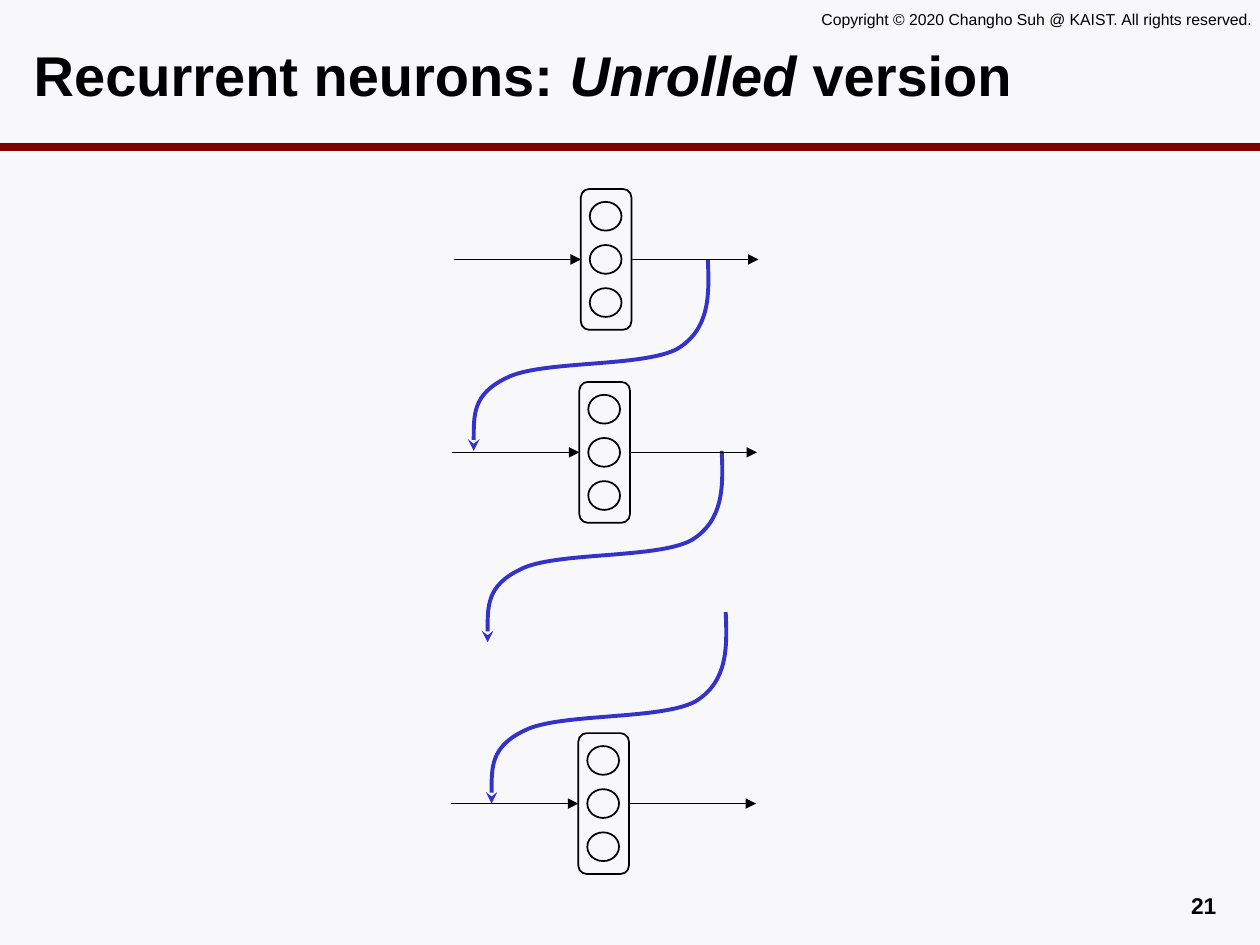
from dataclasses import dataclass

from lxml.etree import SubElement
from pptx import Presentation
from pptx.dml.color import RGBColor
from pptx.enum.shapes import MSO_CONNECTOR, MSO_SHAPE
from pptx.enum.text import MSO_ANCHOR, PP_ALIGN
from pptx.oxml.ns import qn
from pptx.util import Cm, Pt


@dataclass(frozen=True)
class Theme:
    font: str = "Arial"
    background: str = "F8F8FA"
    ink: str = "000000"
    rule: str = "800000"
    feedback: str = "3333CC"
    title_size: float = 32
    number_size: float = 13
    copyright_size: float = 9
    thin: float = 0.75
    outline: float = 1
    feedback_width: float = 2.25
    rule_width: float = 4.5


class SlideBuilder:
    BOX_W, BOX_H = 1.02, 2.84
    NEURON_W, NEURON_H, NEURON_PITCH = 0.64, 0.58, 0.87
    ARROW = 2.56
    # Offsets from the start: three cubic segments of three points each
    FEEDBACK = [
        (0.03, 0.69), (0.05, 1.4), (-0.61, 1.8),
        (-1.3, 2.18), (-3.38, 2.03), (-4.06, 2.39),
        (-4.75, 2.72), (-4.72, 3.28), (-4.72, 3.86),
    ]

    def __init__(self, s, theme):
        self.s, self.theme = s, theme
        fill = s.background.fill
        fill.solid()
        fill.fore_color.rgb = RGBColor.from_string(theme.background)

    def stroke(self, sp, color, width, arrow=None):
        sp.line.color.rgb = RGBColor.from_string(color)
        sp.line.width = Pt(width)
        if arrow:
            SubElement(sp.line._get_or_add_ln(), qn("a:tailEnd"), type=arrow)

    def text(self, runs, left, top, width, height, size, bold=False,
             align=PP_ALIGN.LEFT, anchor=MSO_ANCHOR.TOP, wrap=True):
        """Add one paragraph from (text, italic) runs."""
        sp = self.s.shapes.add_textbox(Cm(left), Cm(top), Cm(width), Cm(height))
        tf = sp.text_frame
        tf.word_wrap = wrap
        tf.vertical_anchor = anchor
        p = tf.paragraphs[0]
        p.alignment = align
        for words, italic in runs:
            r = p.add_run()
            r.text = words
            r.font.name = self.theme.font
            r.font.size = Pt(size)
            r.font.bold = bold
            r.font.italic = italic
            r.font.color.rgb = RGBColor.from_string(self.theme.ink)

    def line(self, x1, y1, x2, y2, color, width, arrow=None):
        sp = self.s.shapes.add_connector(
            MSO_CONNECTOR.STRAIGHT, Cm(x1), Cm(y1), Cm(x2), Cm(y2))
        self.stroke(sp, color, width, arrow)
        SubElement(sp._element.spPr, qn("a:effectLst"))
        return sp

    def outline(self, shapes, kind, left, top, width, height):
        sp = shapes.add_shape(kind, Cm(left), Cm(top), Cm(width), Cm(height))
        sp.shadow.inherit = False
        sp.fill.background()
        self.stroke(sp, self.theme.ink, self.theme.outline)
        return sp

    def layer(self, left, axis):
        """Add a box of three neurons centred on axis, with its in and out arrows."""
        shapes = self.s.shapes.add_group_shape().shapes
        for i in (-1, 0, 1):
            self.outline(shapes, MSO_SHAPE.OVAL, left + 0.18,
                         axis + i * self.NEURON_PITCH - self.NEURON_H / 2,
                         self.NEURON_W, self.NEURON_H)
        box = self.outline(shapes, MSO_SHAPE.ROUNDED_RECTANGLE, left,
                           axis - self.BOX_H / 2, self.BOX_W, self.BOX_H)
        box.adjustments[0] = 0.167

        right = left + self.BOX_W
        style = (self.theme.ink, self.theme.thin, "triangle")
        self.line(left - self.ARROW, axis, left, axis, *style).end_connect(box, 1)
        self.line(right, axis, right + self.ARROW, axis, *style).begin_connect(box, 3)

    def feedback(self, x, y):
        """Add the S-shaped arrow that carries a state to the next step."""
        builder = self.s.shapes.build_freeform(Cm(x), Cm(y))
        builder.add_line_segments(
            [(Cm(x + dx), Cm(y + dy)) for dx, dy in self.FEEDBACK], close=False)
        sp = builder.convert_to_shape()
        sp.shadow.inherit = False
        sp.fill.background()
        self.stroke(sp, self.theme.feedback, self.theme.feedback_width, "stealth")
        # Turn each three line segments into one cubic segment
        segments = list(sp._element.iter(qn("a:lnTo")))
        outline = segments[0].getparent()
        for i in range(0, len(segments), 3):
            curve = SubElement(outline, qn("a:cubicBezTo"))
            for segment in segments[i:i + 3]:
                curve.append(segment[0])
                outline.remove(segment)


def main():
    prs = Presentation()
    prs.slide_width, prs.slide_height = Cm(25.4), Cm(19.05)
    theme = Theme()
    slide = SlideBuilder(prs.slides.add_slide(prs.slide_layouts[6]), theme)

    slide.line(0, 2.97, 25.4, 2.97, theme.rule, theme.rule_width)
    slide.text([("Copyright © 2020 Changho Suh @ KAIST. All rights reserved.", False)],
               16.31, 0.08, 9.47, 0.64, theme.copyright_size, wrap=False)
    slide.text([("Recurrent neurons: ", False), ("Unrolled ", True), ("version", False)],
               0.43, 0.43, 24.28, 2.11, theme.title_size, bold=True,
               anchor=MSO_ANCHOR.MIDDLE)
    slide.text([("21", False)], 18.85, 17.86, 5.92, 0.69, theme.number_size,
               bold=True, align=PP_ALIGN.RIGHT)

    for x, y in [(14.27, 5.23), (14.55, 9.09), (14.63, 12.34)]:
        slide.feedback(x, y)
    for left, axis in [(11.71, 5.23), (11.68, 9.12), (11.66, 16.2)]:
        slide.layer(left, axis)

    prs.save("out.pptx")


if __name__ == "__main__":
    main()
